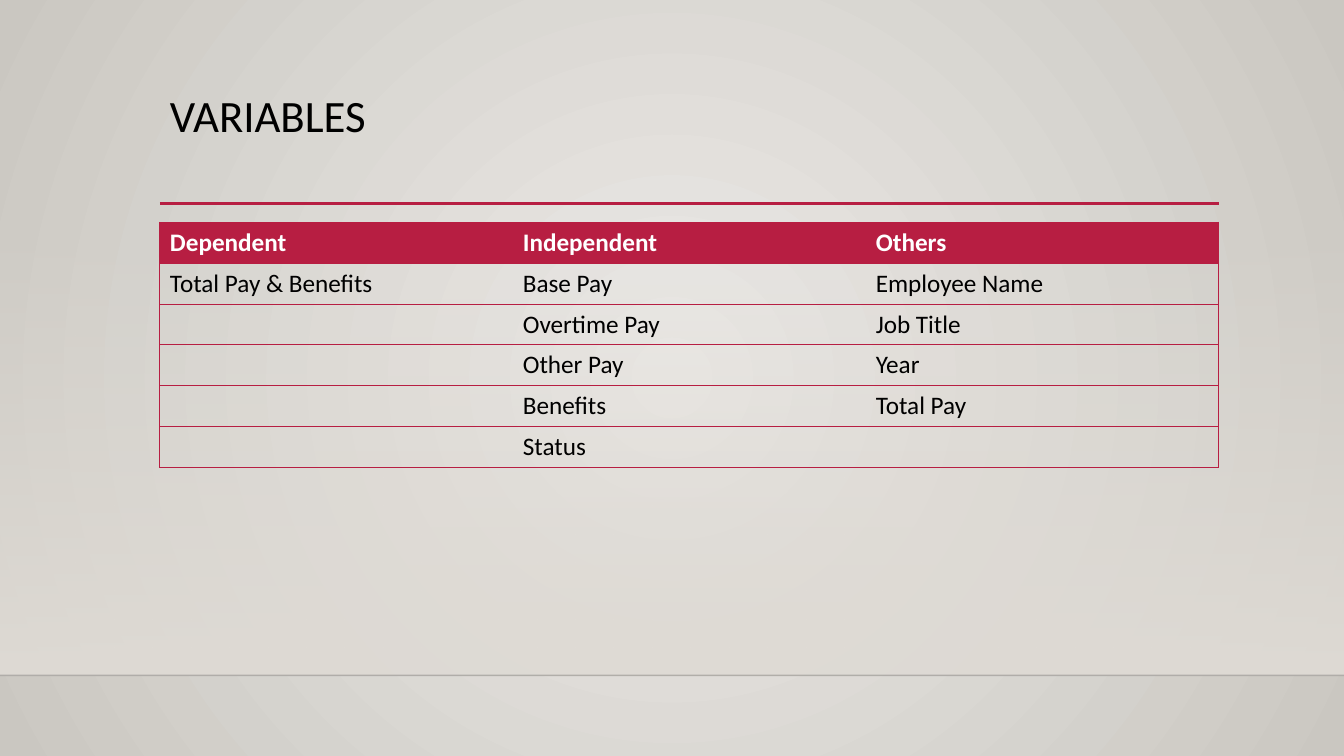
"""Build the slide that lists the study variables in a table."""
import pptx
import pptx.dml.color
import pptx.enum.shapes
import pptx.oxml
import pptx.oxml.ns
import pptx.util
from pptx.util import Cm, Pt

TITLE = "VARIABLES"
ROWS = [
    ("Dependent", "Independent", "Others"),
    ("Total Pay & Benefits", "Base Pay", "Employee Name"),
    ("", "Overtime Pay", "Job Title"),
    ("", "Other Pay", "Year"),
    ("", "Benefits", "Total Pay"),
    ("", "Status", ""),
    ("", "", ""),
]
COLORS = {"accent": "B71E42", "text": "000000", "header": "FFFFFF", "center": "ECEAE7",
          "edge": "CAC7C1", "panel": "DFDBD5", "floor": "000001"}
FONT = "Calibri"
NO_STYLE = "{2D5ABB26-0587-4C30-8999-92F81FD0307C}"
WIDTH, HEIGHT = Cm(33.87), Cm(19.05)
LEFT, CONTENT_WIDTH = Cm(4.03), Cm(26.68)
TABLE_TOP, ROW_HEIGHT = Cm(5.6), Cm(1.03)
PANEL_TOP, FLOOR = Cm(5.61), Cm(17.02)
RULE_TOP = Cm(5.13)


def color(name):
    return pptx.dml.color.RGBColor.from_string(COLORS[name])


def xml(tag, content):
    return pptx.oxml.parse_xml(f"<a:{tag} {pptx.oxml.ns.nsdecls('a')} {content}")


def set_gradient(fill, names):
    fill.gradient()
    for stop, name in zip(fill.gradient_stops, names):
        stop.color.rgb = color(name)


def set_alpha(element, percent):
    element.xpath(".//a:srgbClr")[0].append(xml("alpha", f'val="{percent * 1000}"/>'))


def style_text(paragraph, size, name, bold=False):
    paragraph.font.name = FONT
    paragraph.font.size = Pt(size)
    paragraph.font.bold = bold
    paragraph.font.color.rgb = color(name)


def add_line(slide, left, top, right, name, width):
    line = slide.shapes.add_connector(
        pptx.enum.shapes.MSO_CONNECTOR.STRAIGHT, left, top, right, top)
    line.line.color.rgb = color(name)
    line.line.width = Pt(width)
    line.element.spPr.append(xml("effectLst", "/>"))
    return line


def add_backdrop(slide):
    set_gradient(slide.background.fill, ("center", "edge"))
    linear = slide.element.xpath(".//p:bgPr//a:lin")[0]
    linear.getparent().replace(linear, xml(
        "path", 'path="circle"><a:fillToRect l="50000" t="50000" r="50000" b="50000"/></a:path>'))
    panel = slide.shapes.add_shape(
        pptx.enum.shapes.MSO_SHAPE.RECTANGLE, 0, PANEL_TOP, WIDTH, FLOOR - PANEL_TOP)
    panel.shadow.inherit = False
    panel.line.fill.background()
    set_gradient(panel.fill, ("panel", "panel"))
    panel.fill.gradient_angle = 270
    set_alpha(panel.element, 0)
    set_alpha(add_line(slide, 0, FLOOR, WIDTH, "floor", 1).element, 20)


def add_title(slide):
    add_line(slide, LEFT, RULE_TOP, LEFT + CONTENT_WIDTH, "accent", 2.5)
    frame = slide.shapes.add_textbox(LEFT, Cm(2.24), CONTENT_WIDTH, Cm(2.92)).text_frame
    frame.word_wrap = True
    paragraph = frame.paragraphs[0]
    paragraph.text = TITLE
    paragraph.line_spacing = 0.9
    style_text(paragraph, 32, "text")


def add_borders(cell, sides):
    properties = cell._tc.get_or_add_tcPr()
    for index, side in enumerate(sides):
        properties.insert(index, xml(
            f"ln{side}", f'w="{Pt(0.75)}"><a:solidFill><a:srgbClr val="{COLORS["accent"]}"/>'
            f"</a:solidFill></a:ln{side}>"))


def add_variables(slide):
    columns = len(ROWS[0])
    frame = slide.shapes.add_table(
        len(ROWS), columns, LEFT, TABLE_TOP, CONTENT_WIDTH, ROW_HEIGHT * len(ROWS))
    frame.element.xpath(".//a:tableStyleId")[0].text = NO_STYLE
    table = frame.table
    table.horz_banding = False
    for row, texts in enumerate(ROWS):
        table.rows[row].height = ROW_HEIGHT
        for column, text in enumerate(texts):
            cell = table.cell(row, column)
            cell.text = text
            header = row == 0
            style_text(cell.text_frame.paragraphs[0], 18, "header" if header else "text", header)
            if header:
                cell.fill.solid()
                cell.fill.fore_color.rgb = color("accent")
            else:
                cell.fill.background()
            if row < len(ROWS) - 1:
                left = "L" if column == 0 else ""
                right = "R" if column == columns - 1 else ""
                add_borders(cell, left + right + "TB")


def main():
    presentation = pptx.Presentation()
    presentation.slide_width, presentation.slide_height = WIDTH, HEIGHT
    slide = presentation.slides.add_slide(presentation.slide_layouts[6])
    add_backdrop(slide)
    add_title(slide)
    add_variables(slide)
    presentation.save("out.pptx")


if __name__ == "__main__":
    main()
